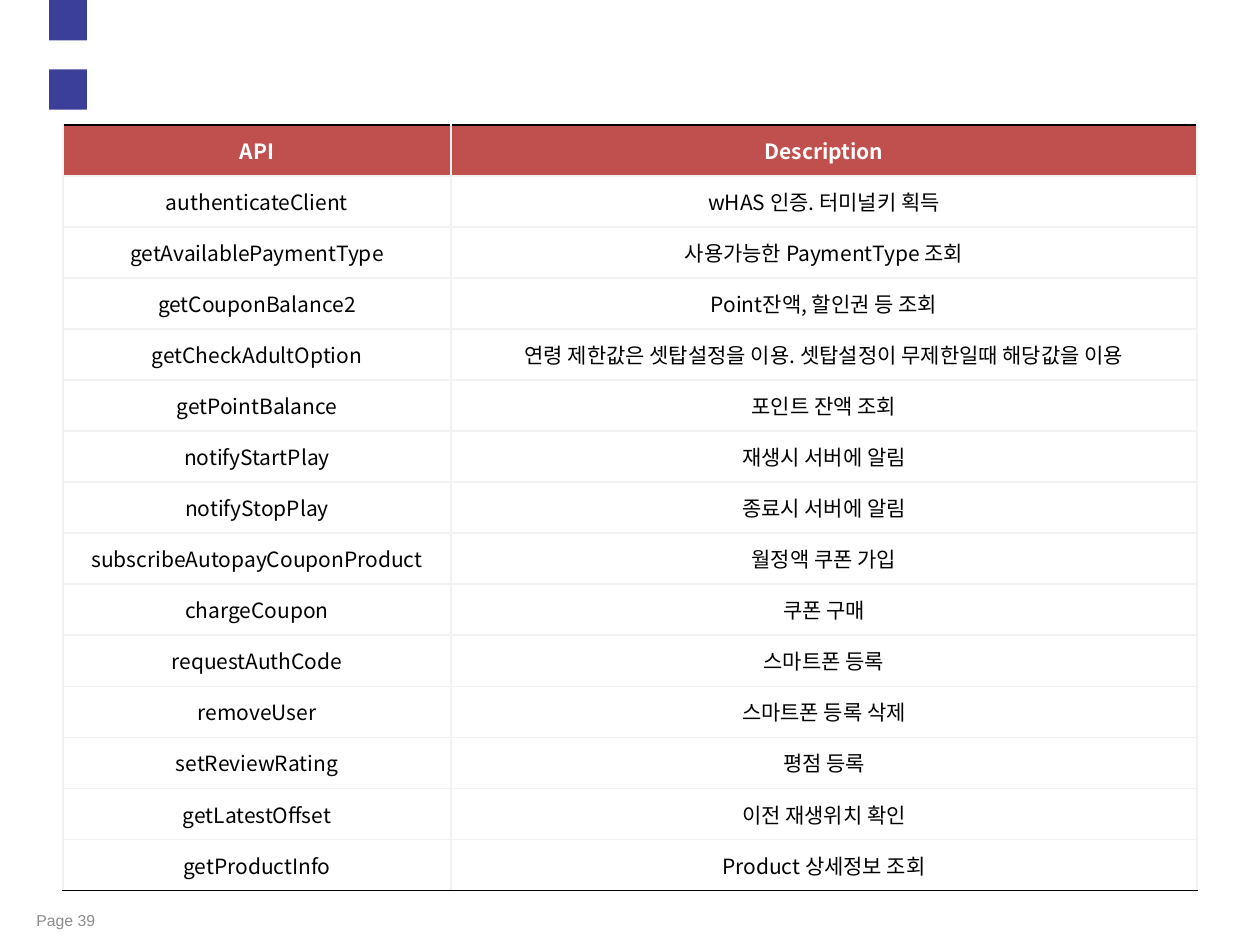
import pptx
import pptx.dml.color
import pptx.enum.shapes
import pptx.enum.text
import pptx.oxml
import pptx.oxml.ns
import pptx.util

WIDTH, HEIGHT = pptx.util.Inches(10), pptx.util.Inches(7.5)
TABLE_HEIGHT = pptx.util.Inches(6.08)
COLUMNS = [3.08, 5.92]
FONT = "Noto Sans CJK KR"
COLORS = {
    "marker": "3B3F9A",
    "header": "C0504D",
    "header_text": "FFFFFF",
    "body": "FFFFFF",
    "text": "000000",
    "grid": "F2F2F2",
    "edge": "000000",
    "page": "8C8C8C",
}
ROWS = [
    ("API", "Description"),
    ("authenticateClient", "wHAS 인증. 터미널키 획득"),
    ("getAvailablePaymentType", "사용가능한 PaymentType 조회"),
    ("getCouponBalance2", "Point잔액, 할인권 등 조회"),
    ("getCheckAdultOption", "연령 제한값은 셋탑설정을 이용. 셋탑설정이 무제한일때 해당값을 이용"),
    ("getPointBalance", "포인트 잔액 조회"),
    ("notifyStartPlay", "재생시 서버에 알림"),
    ("notifyStopPlay", "종료시 서버에 알림"),
    ("subscribeAutopayCouponProduct", "월정액 쿠폰 가입"),
    ("chargeCoupon", "쿠폰 구매"),
    ("requestAuthCode", "스마트폰 등록"),
    ("removeUser", "스마트폰 등록 삭제"),
    ("setReviewRating", "평점 등록"),
    ("getLatestOffset", "이전 재생위치 확인"),
    ("getProductInfo", "Product 상세정보 조회"),
]


def rgb(name):
    return pptx.dml.color.RGBColor.from_string(COLORS[name])


def format_paragraph(p, font, size, color, bold=False):
    p.font.name = font
    p.font.size = pptx.util.Pt(size)
    p.font.bold = bold
    p.font.color.rgb = rgb(color)


def set_east_asian_font(p, font):
    props = p._p.find(".//" + pptx.oxml.ns.qn("a:defRPr"))
    latin = props.find(pptx.oxml.ns.qn("a:latin"))
    latin.addnext(pptx.oxml.parse_xml(
        f'<a:ea {pptx.oxml.ns.nsdecls("a")} typeface="{font}"/>'))


def add_marker(slide, top):
    sp = slide.shapes.add_shape(
        pptx.enum.shapes.MSO_SHAPE.RECTANGLE,
        pptx.util.Inches(0.39), pptx.util.Inches(top),
        pptx.util.Inches(0.3), pptx.util.Inches(0.32))
    sp.shadow.inherit = False
    sp.fill.solid()
    sp.fill.fore_color.rgb = rgb("marker")
    sp.line.fill.background()


def add_page_label(slide, text):
    sp = slide.shapes.add_textbox(
        pptx.util.Inches(0.19), pptx.util.Inches(7.17),
        pptx.util.Inches(0.79), pptx.util.Inches(0.27))
    tf = sp.text_frame
    tf.word_wrap = True
    tf.vertical_anchor = pptx.enum.text.MSO_ANCHOR.MIDDLE
    p = tf.paragraphs[0]
    p.text = text
    format_paragraph(p, "Arial", 9, "page")


def set_borders(cell, top, bottom):
    tc_pr = cell._tc.get_or_add_tcPr()
    sides = {"L": "grid", "R": "grid", "T": top, "B": bottom}
    for side, color in sides.items():
        tc_pr.append(pptx.oxml.parse_xml(
            f'<a:ln{side} {pptx.oxml.ns.nsdecls("a")} w="{pptx.util.Pt(1)}">'
            f'<a:solidFill><a:srgbClr val="{COLORS[color]}"/></a:solidFill>'
            f'</a:ln{side}>'))


def format_cell(cell, text, is_first, is_last):
    set_borders(cell, "edge" if is_first else "grid", "edge" if is_last else "grid")
    cell.fill.solid()
    cell.fill.fore_color.rgb = rgb("header" if is_first else "body")
    cell.vertical_anchor = pptx.enum.text.MSO_ANCHOR.MIDDLE
    p = cell.text_frame.paragraphs[0]
    p.text = text
    p.alignment = pptx.enum.text.PP_ALIGN.CENTER
    format_paragraph(p, FONT, 12, "header_text" if is_first else "text", is_first)
    set_east_asian_font(p, FONT)


def add_api_table(slide):
    table = slide.shapes.add_table(
        len(ROWS), len(COLUMNS),
        pptx.util.Inches(0.5), pptx.util.Inches(0.99),
        pptx.util.Inches(sum(COLUMNS)), TABLE_HEIGHT).table
    table.horz_banding = False
    for column, width in zip(table.columns, COLUMNS):
        column.width = pptx.util.Inches(width)
    for i, texts in enumerate(ROWS):
        table.rows[i].height = TABLE_HEIGHT // len(ROWS)
        for j, text in enumerate(texts):
            format_cell(table.cell(i, j), text, i == 0, i == len(ROWS) - 1)


def main():
    prs = pptx.Presentation()
    prs.slide_width, prs.slide_height = WIDTH, HEIGHT
    slide = prs.slides.add_slide(prs.slide_layouts[6])
    for top in (0.55, 0):
        add_marker(slide, top)
    add_page_label(slide, "Page 39")
    add_api_table(slide)
    prs.save("out.pptx")


if __name__ == "__main__":
    main()
